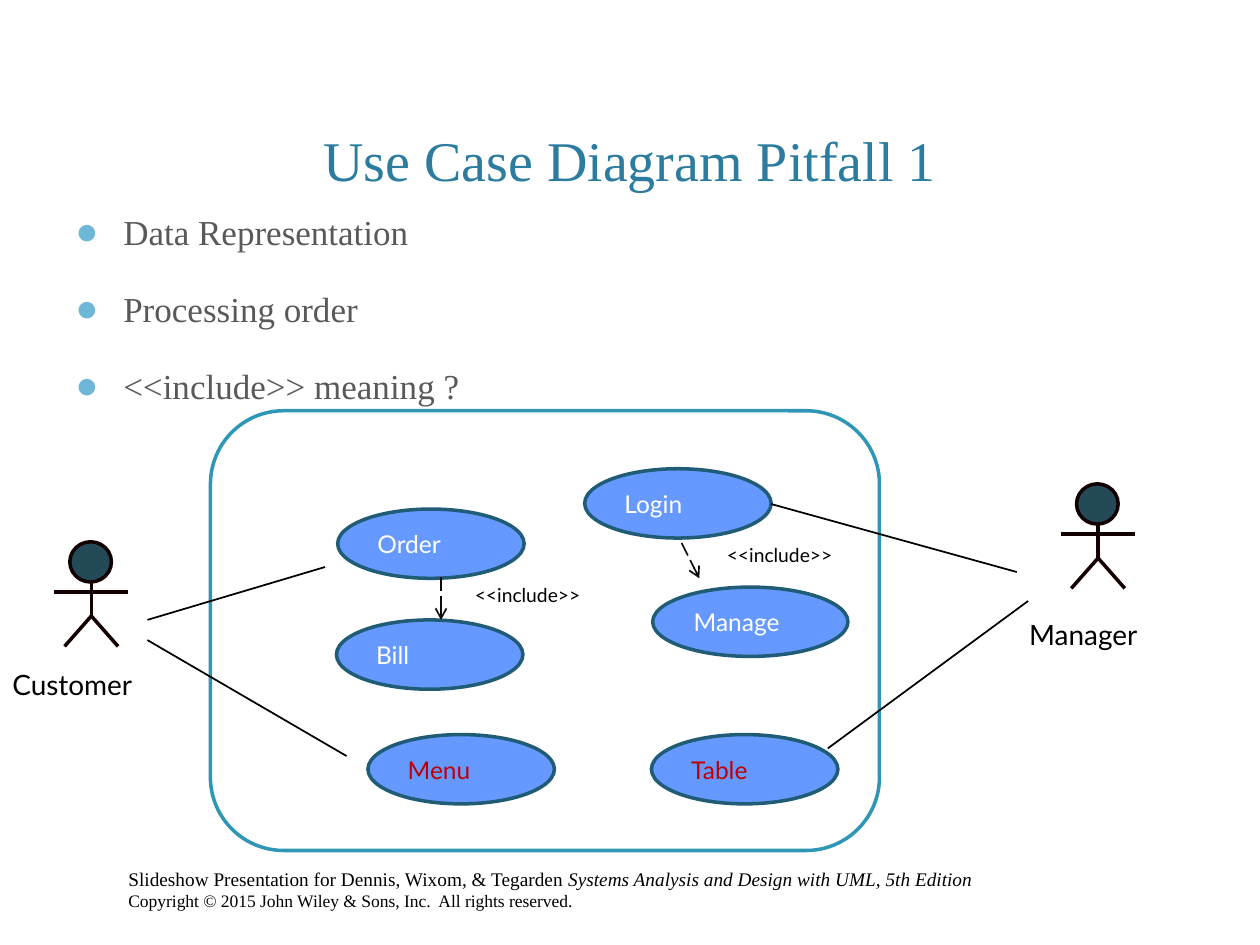
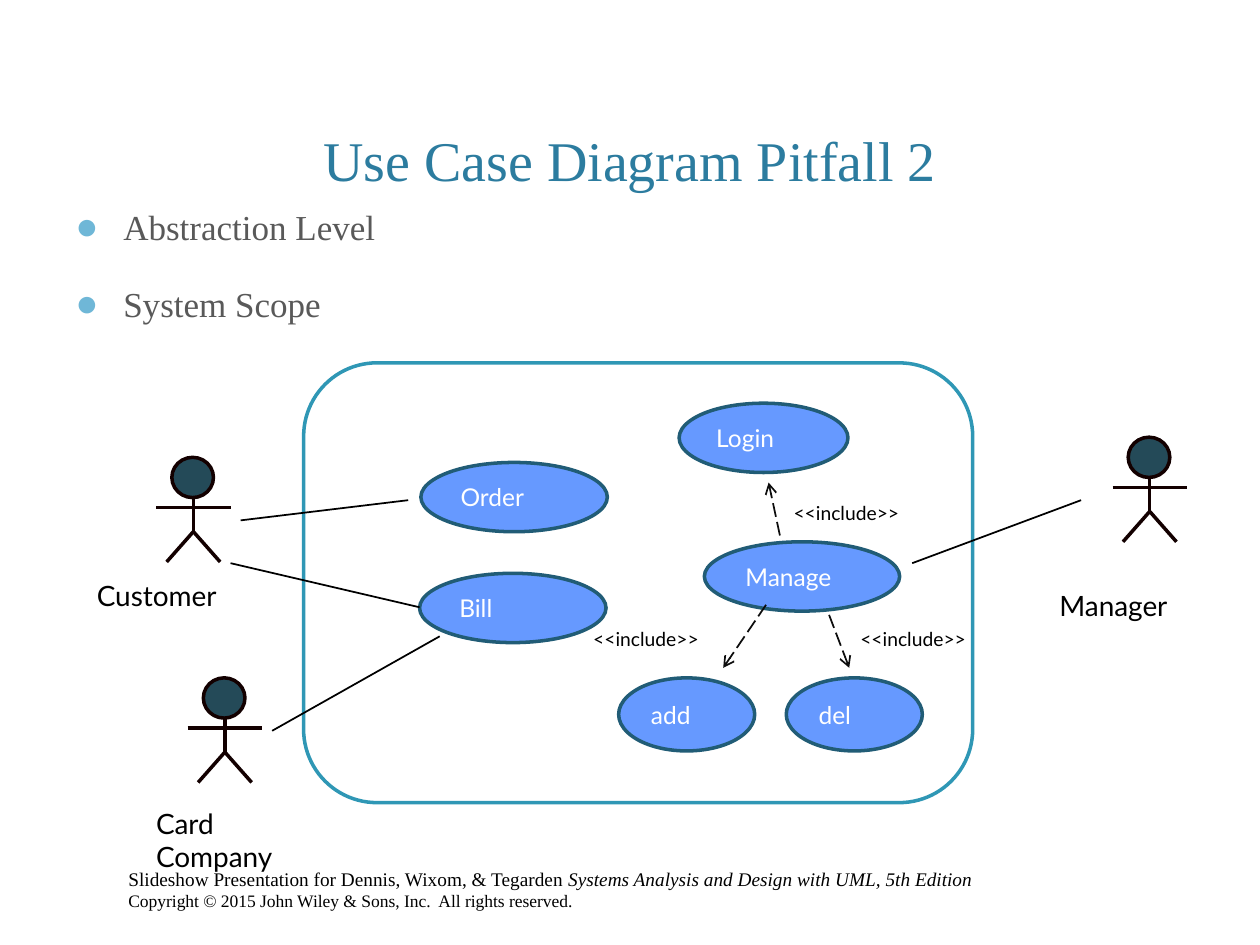
from dataclasses import dataclass

from lxml import etree
from pptx import Presentation
from pptx.dml.color import RGBColor
from pptx.enum.dml import MSO_LINE
from pptx.enum.shapes import MSO_CONNECTOR, MSO_SHAPE
from pptx.enum.text import MSO_ANCHOR, PP_ALIGN
from pptx.oxml.ns import qn
from pptx.util import Inches, Pt

STRAIGHT = MSO_CONNECTOR.STRAIGHT
ELLIPSE, ROUNDED = MSO_SHAPE.OVAL, MSO_SHAPE.ROUNDED_RECTANGLE
LONG_DASH = MSO_LINE.LONG_DASH
LEFT, CENTER = PP_ALIGN.LEFT, PP_ALIGN.CENTER
TOP, MIDDLE, BOTTOM = MSO_ANCHOR.TOP, MSO_ANCHOR.MIDDLE, MSO_ANCHOR.BOTTOM

SERIF, SANS = "Times New Roman", "Lato"
COLORS = {
    "title": "2C7C9F", "body": "595959", "bullet": "6FB7D7", "black": "000000",
    "white": "FFFFFF", "boundary": "2F97B5", "use_case": "6699FF",
    "use_case_edge": "215C76", "warning": "C00000", "include": "0D0D0D",
    "head": "244A58", "limbs": "130000",
}

# The slide is a grid of 100 columns by 75 rows.
SLIDE_W, SLIDE_H = Inches(10), Inches(7.5)
COLUMN, ROW = SLIDE_W / 100, SLIDE_H / 75
USE_CASE_SIZE = (14.8, 5.5)
ACTOR_SIZE = (5.9, 8.3)


@dataclass
class Box:
    """A region in grid units; parts are placed relative to its corner."""
    left: float
    top: float
    width: float
    height: float

    def inner(self, left, top, width, height):
        return Box(self.left + left, self.top + top, width, height)

    def point(self, x, y):
        return round((self.left + x) * COLUMN), round((self.top + y) * ROW)

    def share(self, x, y):
        return self.point(x * self.width, y * self.height)

    def emu(self):
        return (*self.point(0, 0), round(self.width * COLUMN), round(self.height * ROW))


TITLE_BOX = Box(6, 1.2, 88, 14.6)
FOOTER_BOX = Box(9.2, 68.3, 76.1, 4.5)


def rgb(name):
    return RGBColor.from_string(COLORS[name])


def write(shape, paragraphs, size=14, font=SANS, color="black", align=LEFT,
          anchor=TOP, space=0, bullet=False):
    """Fill a shape; a paragraph is a string or a list of (text, run format)."""
    frame = shape.text_frame
    frame.word_wrap = True
    frame.vertical_anchor = anchor
    for index, content in enumerate(paragraphs):
        paragraph = frame.paragraphs[0] if index == 0 else frame.add_paragraph()
        paragraph.alignment = align
        paragraph.space_before = Pt(space if index else 0)
        if bullet:
            add_bullet(paragraph)
        runs = [(content, {})] if isinstance(content, str) else content
        for text, style in runs:
            run = paragraph.add_run()
            run.text = text
            run.font.name = font
            run.font.size = Pt(style.get("size", size))
            run.font.italic = style.get("italic", False)
            run.font.color.rgb = rgb(color)


def add_bullet(paragraph):
    properties = paragraph._p.get_or_add_pPr()
    properties.set("marL", str(Inches(0.38)))
    properties.set("indent", str(-Inches(0.38)))
    tint = etree.SubElement(properties, qn("a:buClr"))
    etree.SubElement(tint, qn("a:srgbClr"), val=COLORS["bullet"])
    etree.SubElement(properties, qn("a:buSzPct"), val="110000")
    etree.SubElement(properties, qn("a:buFont"), typeface=SERIF)
    etree.SubElement(properties, qn("a:buChar"), char="●")


def add_label(slide, box, paragraphs, **style):
    label = slide.shapes.add_textbox(*box.emu())
    write(label, paragraphs, **style)
    return label


def add_outlined(shapes, kind, box, fill, edge):
    shape = shapes.add_shape(kind, *box.emu())
    shape.shadow.inherit = False
    shape.fill.solid()
    shape.fill.fore_color.rgb = rgb(fill)
    shape.line.color.rgb = rgb(edge)
    shape.line.width = Pt(2)
    return shape


def add_line(shapes, start, end, color="black", width=1, arrow=False):
    line = shapes.add_connector(STRAIGHT, *start, *end)
    line.line.color.rgb = rgb(color)
    line.line.width = Pt(width)
    properties = line.element.spPr
    if arrow:
        line.line.dash_style = LONG_DASH
        etree.SubElement(properties.find(qn("a:ln")), qn("a:tailEnd"), type="arrow")
    etree.SubElement(properties, qn("a:effectLst"))


def add_actor(slide, box):
    """Draw a stick figure that fills the box."""
    figure = slide.shapes.add_group_shape().shapes
    head = box.inner(box.width * 0.21, 0, box.width * 0.56, box.height * 0.385)
    add_outlined(figure, ELLIPSE, head, "head", "limbs")
    hip = (0.5, 0.71)
    limbs = [((0, 0.48), (1, 0.48)), (hip, (0.5, 0.385)),
             (hip, (0.14, 1)), (hip, (0.86, 1))]
    for start, end in limbs:
        add_line(figure, box.share(*start), box.share(*end), "limbs", 2)


def add_diagram(slide, box, use_cases, includes, actors, links):
    """Draw the system boundary in the box and all else relative to it."""
    add_outlined(slide.shapes, ROUNDED, box, "white", "boundary")
    for name, position, size, color in use_cases:
        use_case = add_outlined(slide.shapes, ELLIPSE, box.inner(*position, *size),
                                "use_case", "use_case_edge")
        write(use_case, [name], color=color, anchor=MIDDLE)
    for start, end, label_at in includes:
        add_line(slide.shapes, box.point(*start), box.point(*end), "include", arrow=True)
        add_label(slide, box.inner(*label_at, 11.6, 2.9), ["<<include>>"], size=11)
    for name, position, label_at, label_size in actors:
        add_actor(slide, box.inner(*position, *ACTOR_SIZE))
        add_label(slide, box.inner(*label_at, *label_size), [name], size=16)
    for start, end in links:
        add_line(slide.shapes, box.point(*start), box.point(*end))


def add_footer(slide, layout):
    """Write the footer and move it to the layout that all slides share."""
    footer = add_label(slide, FOOTER_BOX, [
        [("Slideshow Presentation for Dennis, Wixom, & Tegarden ", {}),
         ("Systems Analysis and Design with UML, 5th Edition", {"italic": True})],
        [("Copyright © 2015 John Wiley & Sons, Inc.  All rights reserved.", {"size": 10})],
    ], size=11, font=SERIF)
    layout.shapes.element.append(footer.element)


def add_pitfall_slide(deck, layout, title, bullets, bullet_box, diagram_box, diagram):
    slide = deck.slides.add_slide(layout)
    heading = slide.shapes.title
    heading.left, heading.top, heading.width, heading.height = TITLE_BOX.emu()
    write(heading, [title], size=32, font=SERIF, color="title", align=CENTER, anchor=BOTTOM)
    add_label(slide, bullet_box, bullets, size=20, font=SERIF, color="body",
              space=20, bullet=True)
    add_diagram(slide, diagram_box, **diagram)
    return slide


DATA_DIAGRAM = {
    "use_cases": [
        ("Order", (10.1, 7.8), USE_CASE_SIZE, "white"),
        ("Table", (35, 25.7), USE_CASE_SIZE, "warning"),
        ("Bill", (10, 16.6), USE_CASE_SIZE, "white"),
        ("Menu", (12.5, 25.7), USE_CASE_SIZE, "warning"),
        ("Manage", (35.1, 14), (15.5, 5.5), "white"),
        ("Login", (29.7, 4.6), USE_CASE_SIZE, "white"),
    ],
    "includes": [
        ((37.4, 10.5), (38.8, 13.3), (40, 10)),
        ((18.3, 13.2), (18.3, 16.6), (20, 13.2)),
    ],
    "actors": [
        ("Manager", (67.5, 5.8), (64, 15.9), (13.5, 3.7)),
        ("Customer", (-12.4, 10.4), (-16.7, 19.9), (13.5, 3.7)),
    ],
    "links": [
        ((44.5, 7.4), (64, 12.8)), ((-5, 16.6), (9.1, 12.4)),
        ((-5, 18.2), (10.8, 27.4)), ((49, 26.8), (64.9, 15.1)),
    ],
}

SCOPE_DIAGRAM = {
    "use_cases": [
        ("Order", (9.3, 7.9), USE_CASE_SIZE, "white"),
        ("Bill", (9.2, 16.7), USE_CASE_SIZE, "white"),
        ("Manage", (31.8, 14.2), (15.5, 5.5), "white"),
        ("Login", (29.8, 3.2), (13.4, 5.5), "white"),
        ("add", (25, 25), (10.8, 5.8), "white"),
        ("del", (38.3, 25), (10.8, 5.8), "white"),
    ],
    "includes": [
        ((37.8, 13.7), (36.9, 9.5), (37.9, 10.5)),
        ((36.7, 19.2), (33.3, 24.2), (22, 20.5)),
        ((41.7, 20), (43.3, 24.2), (43.2, 20.5)),
    ],
    "actors": [
        ("Manager", (64.2, 5.9), (59, 17.4), (13.5, 3.7)),
        ("Customer", (-11.7, 7.5), (-17.4, 16.6), (13.5, 3.7)),
        ("Card Company", (-9.2, 25), (-12.7, 34.7), (11.7, 6.4)),
    ],
    "links": [
        ((48.3, 15.9), (61.7, 10.9)), ((-5, 12.5), (8.3, 10.9)),
        ((-5.8, 15.9), (9.2, 19.4)), ((-2.5, 29.2), (10.8, 21.7)),
    ],
}


def main():
    deck = Presentation()
    deck.slide_width, deck.slide_height = SLIDE_W, SLIDE_H
    layout = deck.slide_layouts.get_by_name("Title Only")
    first = add_pitfall_slide(
        deck, layout, "Use Case Diagram Pitfall 1",
        ["Data Representation", "Processing order", "<<include>> meaning ?"],
        Box(5, 16.2, 89.1, 14.2), Box(16.7, 32.6, 53.1, 34.9), DATA_DIAGRAM)
    add_footer(first, layout)
    add_pitfall_slide(
        deck, layout, "Use Case Diagram Pitfall 2",
        ["Abstraction Level", "System Scope"],
        Box(5, 15.8, 89.1, 9.2), Box(24.1, 28.8, 53.1, 34.9), SCOPE_DIAGRAM)
    deck.save("out.pptx")


if __name__ == "__main__":
    main()
